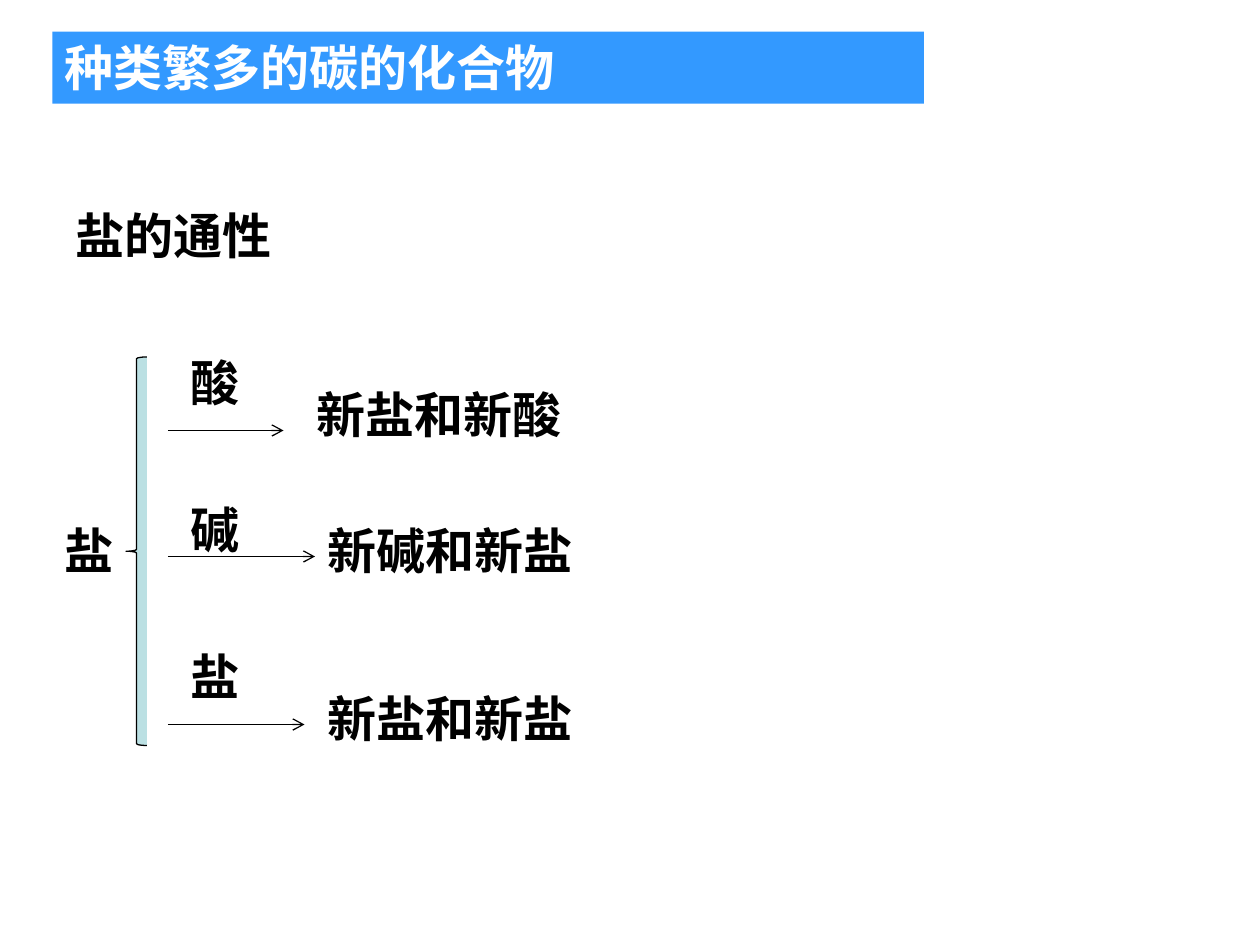
from dataclasses import dataclass

from lxml import etree
from pptx import Presentation
from pptx.dml.color import RGBColor
from pptx.enum.shapes import MSO_CONNECTOR, MSO_SHAPE
from pptx.enum.text import MSO_ANCHOR, MSO_AUTO_SIZE, PP_ALIGN
from pptx.oxml.ns import qn
from pptx.util import Emu, Pt

RECTANGLE = MSO_SHAPE.RECTANGLE
LEFT_BRACE = MSO_SHAPE.LEFT_BRACE
STRAIGHT = MSO_CONNECTOR.STRAIGHT
LEFT = PP_ALIGN.LEFT
TOP = MSO_ANCHOR.TOP
GROW = MSO_AUTO_SIZE.SHAPE_TO_FIT_TEXT
EMU_PER_PX = 9525  # 96 px to the inch
LINE_HEIGHT = 55   # one line of text with its insets


@dataclass(frozen=True)
class Theme:
    font: str = "Times New Roman"
    size: int = 28
    rule: float = 0.75
    ink: RGBColor = RGBColor(0x00, 0x00, 0x00)
    banner: RGBColor = RGBColor(0x33, 0x99, 0xFF)
    on_banner: RGBColor = RGBColor(0xFF, 0xFF, 0xFF)
    brace: RGBColor = RGBColor(0xBB, 0xE0, 0xE3)


def px(*lengths):
    return [Emu(length * EMU_PER_PX) for length in lengths]


class SlideBuilder:
    def __init__(self, slide, theme):
        self.shapes = slide.shapes
        self.theme = theme

    def add_words(self, shape, text, color):
        frame = shape.text_frame
        frame.word_wrap = True
        frame.auto_size = GROW
        frame.vertical_anchor = TOP
        paragraph = frame.paragraphs[0]
        paragraph.alignment = LEFT
        run = paragraph.add_run()
        run.text = text
        run.font.name = self.theme.font
        run.font.size = Pt(self.theme.size)
        run.font.bold = True
        run.font.color.rgb = color

    def label(self, text, left, top, width):
        box = self.shapes.add_textbox(*px(left, top, width, LINE_HEIGHT))
        self.add_words(box, text, self.theme.ink)

    def banner(self, text, left, top, width):
        bar = self.shapes.add_shape(RECTANGLE, *px(left, top, width, LINE_HEIGHT))
        bar.shadow.inherit = False
        bar.fill.solid()
        bar.fill.fore_color.rgb = self.theme.banner
        bar.line.fill.background()
        self.add_words(bar, text, self.theme.on_banner)

    def brace(self, left, top, width, height):
        brace = self.shapes.add_shape(LEFT_BRACE, *px(left, top, width, height))
        brace.shadow.inherit = False
        brace.fill.solid()
        brace.fill.fore_color.rgb = self.theme.brace
        self.stroke(brace.line)

    def arrow(self, left, right, y):
        arrow = self.shapes.add_connector(STRAIGHT, *px(left, y, right, y))
        self.stroke(arrow.line)
        properties = arrow._element.spPr
        outline = properties.find(qn("a:ln"))
        etree.SubElement(outline, qn("a:tailEnd"), type="arrow")
        etree.SubElement(properties, qn("a:effectLst"))

    def stroke(self, line):
        line.color.rgb = self.theme.ink
        line.width = Pt(self.theme.rule)


def main():
    deck = Presentation()
    deck.slide_width, deck.slide_height = px(960, 720)
    page = SlideBuilder(deck.slides.add_slide(deck.slide_layouts[6]), Theme())

    # Heading and topic
    page.banner("种类繁多的碳的化合物", 40, 24, 664)
    page.label("盐的通性", 48, 152, 248)

    # Salt, braced to its three reactions
    page.label("盐", 40, 392, 56)
    page.brace(96, 272, 16, 296)

    # Reagent (top, width), arrow (y, right end), products (left, top, width)
    reactions = [
        ("酸", (264, 56), (328, 216), "新盐和新酸", (232, 288, 248)),
        ("碱", (376, 80), (424, 240), "新碱和新盐", (240, 392, 376)),
        ("盐", (488, 104), (552, 232), "新盐和新盐", (240, 520, 312)),
    ]
    for reagent, reagent_place, (arrow_y, arrow_end), products, products_place in reactions:
        page.label(reagent, 136, *reagent_place)
        page.arrow(128, arrow_end, arrow_y)
        page.label(products, *products_place)

    deck.save("out.pptx")


if __name__ == "__main__":
    main()
